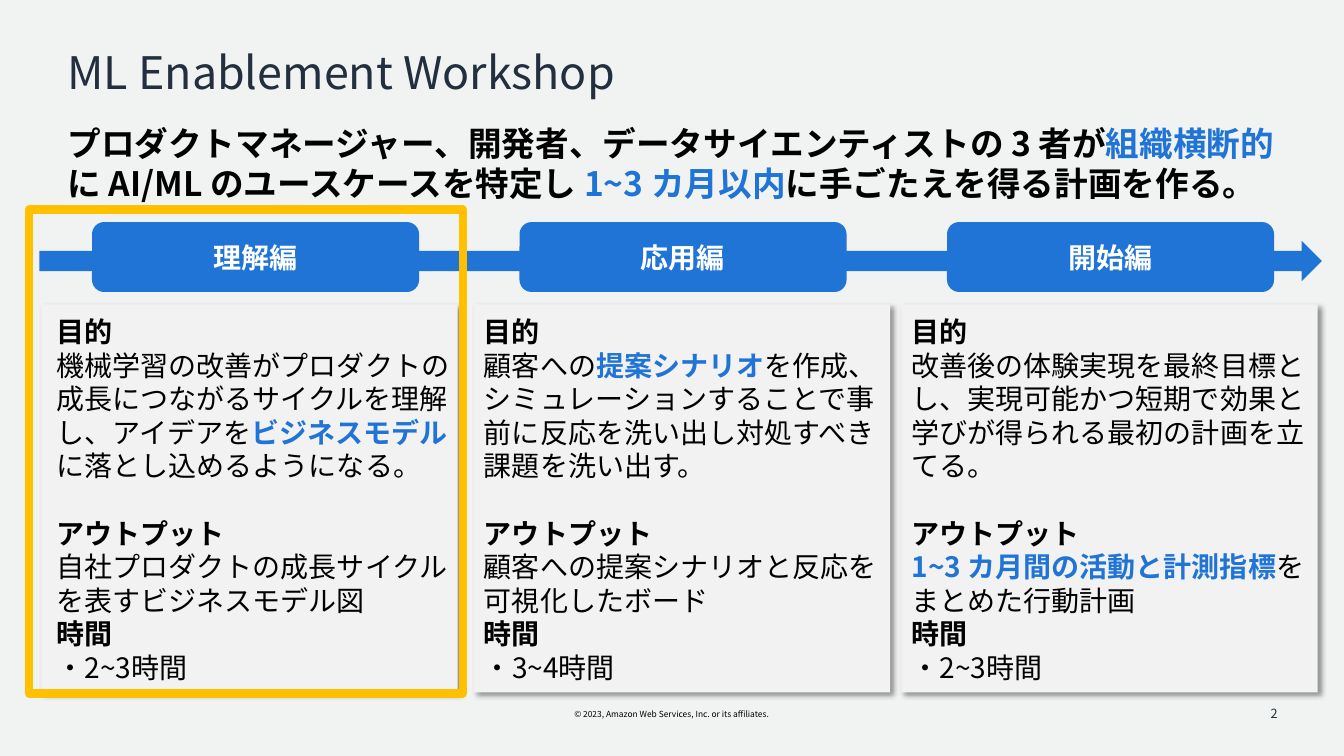
from lxml import etree
from pptx import Presentation
from pptx.dml.color import RGBColor
from pptx.enum.lang import MSO_LANGUAGE_ID
from pptx.enum.shapes import MSO_SHAPE
from pptx.enum.text import MSO_ANCHOR, PP_ALIGN
from pptx.oxml.ns import qn
from pptx.util import Inches, Pt

RECT, ROUND, ARROW = MSO_SHAPE.RECTANGLE, MSO_SHAPE.ROUNDED_RECTANGLE, MSO_SHAPE.RIGHT_ARROW
CENTER, LEFT, RIGHT = PP_ALIGN.CENTER, PP_ALIGN.LEFT, PP_ALIGN.RIGHT
TOP, MIDDLE = MSO_ANCHOR.TOP, MSO_ANCHOR.MIDDLE
JAPANESE = MSO_LANGUAGE_ID.JAPANESE
FONT = "Noto Sans CJK JP"
BLACK, WHITE, NAVY, BLUE = "000000", "FFFFFF", "232F3E", "2074D5"
PALE, PAPER, GOLD = "F2F2F2", "F1F3F3", "FFC000"
PLAIN = {"size": Pt(20), "bold": False, "color": BLACK}
HEAD = {**PLAIN, "bold": True}
ACCENT = {**HEAD, "color": BLUE}
LEAD = {**HEAD, "size": Pt(24)}
LEAD_ACCENT = {**LEAD, "color": BLUE}
BUTTON = {**HEAD, "color": WHITE}
TITLE = {"size": Pt(32), "bold": False, "color": NAVY}
COPYRIGHT = {**PLAIN, "size": Pt(6)}
NUMBER = {**TITLE, "size": Pt(9)}
COLUMN_STEP = 4.24

COLUMNS = [
    {
        "name": "理解編",
        "card_left": 0.41,
        "goal": [
            ("機械学習の改善がプロダクトの成長につながるサイクルを理解し、アイデアを", PLAIN),
            ("ビジネスモデル", ACCENT),
            ("に落とし込めるようになる。", PLAIN),
        ],
        "output": [("自社プロダクトの成長サイクルを表すビジネスモデル図", PLAIN)],
        "time": "・2~3時間",
    },
    {
        "name": "応用編",
        "card_left": 4.7,
        "goal": [
            ("顧客への", PLAIN),
            ("提案シナリオ", ACCENT),
            ("を作成、シミュレーションすることで事前に反応を洗い出し対処すべき課題を洗い出す。", PLAIN),
        ],
        "output": [("顧客への提案シナリオと反応を可視化したボード", PLAIN)],
        "time": "・3~4時間",
    },
    {
        "name": "開始編",
        "card_left": 8.94,
        "goal": [
            ("改善後の体験実現を最終目標とし、実現可能かつ短期で効果と学びが得られる最初の計画を立てる。", PLAIN),
        ],
        "output": [("1~3 カ月間の活動と計測指標", ACCENT), ("をまとめた行動計画", PLAIN)],
        "time": "・2~3時間",
    },
]


def rgb(value):
    return RGBColor.from_string(value)


def write(frame, paragraphs, align=LEFT, anchor=TOP, side=0, wrap=True):
    settings = {
        "word_wrap": wrap,
        "vertical_anchor": anchor,
        "margin_left": Inches(side),
        "margin_right": Inches(side),
        "margin_top": Inches(0.05),
        "margin_bottom": Inches(0.05),
    }
    for name, value in settings.items():
        setattr(frame, name, value)
    for index, spans in enumerate(paragraphs):
        para = frame.add_paragraph() if index else frame.paragraphs[0]
        para.alignment = align
        for text, style in spans:
            span = para.add_run()
            span.text = text
            for name, value in {**style, "name": FONT, "language_id": JAPANESE}.items():
                if name == "color":
                    span.font.color.rgb = rgb(value)
                else:
                    setattr(span.font, name, value)
            etree.SubElement(span.font._element, qn("a:ea"), typeface=FONT)


def add_text(page, box, paragraphs, **layout):
    frame = page.shapes.add_textbox(*map(Inches, box)).text_frame
    write(frame, paragraphs, **layout)
    return frame


def add_block(page, kind, box, fill=None, line=None, width=1):
    block = page.shapes.add_shape(kind, *map(Inches, box))
    block.shadow.inherit = False
    if fill:
        block.fill.solid()
        block.fill.fore_color.rgb = rgb(fill)
    else:
        block.fill.background()
    if line:
        block.line.color.rgb = rgb(line)
        block.line.width = Pt(width)
    else:
        block.line.fill.background()
    return block


def add_shadow(block):
    effects = block._element.spPr.find(qn("a:effectLst"))
    shadow = etree.SubElement(
        effects, qn("a:outerShdw"), blurRad=str(Pt(4)), dist=str(Pt(3)),
        dir="2700000", algn="tl", rotWithShape="0",
    )
    color = etree.SubElement(shadow, qn("a:srgbClr"), val=BLACK)
    etree.SubElement(color, qn("a:alpha"), val="40000")


def add_heading(page, left, top):
    title = add_text(page, (left, top, 11.98, 0.6), [[("ML Enablement Workshop", TITLE)]])
    title.paragraphs[0].line_spacing = 0.9
    add_text(page, (left, top + 0.72, 12.28, 0.91), [[
        ("プロダクトマネージャー、開発者、データサイエンティストの 3 者が", LEAD),
        ("組織横断的", LEAD_ACCENT),
        ("に AI/ML のユースケースを特定し ", LEAD),
        ("1~3 カ月以内", LEAD_ACCENT),
        ("に手ごたえを得る計画を作る。", LEAD),
    ]])


def add_column(page, left, top, column):
    button = add_block(page, ROUND, (left + 0.36, top, 3.23, 0.68), BLUE, BLUE)
    write(button.text_frame, [[(column["name"], BUTTON)]], CENTER, MIDDLE, 0.05)
    add_shadow(add_block(page, RECT, (column["card_left"], top + 0.81, 4.13, 3.85), PALE))
    frame = add_text(page, (left, top + 0.86, 3.95, 3.8), [
        [("目的", HEAD)],
        column["goal"],
        [("アウトプット", HEAD)],
        column["output"],
        [("時間", HEAD)],
        [(column["time"], PLAIN)],
    ])
    frame.paragraphs[2].space_before = Pt(24)


def add_footer(page, top):
    notice = "© 2023, Amazon Web Services, Inc. or its affiliates."
    add_text(page, (5.49, top + 0.11, 2.34, 0.2), [[(notice, COPYRIGHT)]],
             align=CENTER, side=0.1, wrap=False)
    add_text(page, (9.77, top, 3, 0.4), [[("2", NUMBER)]],
             align=RIGHT, anchor=MIDDLE, side=0.1)


def main():
    deck = Presentation()
    deck.slide_width, deck.slide_height = Inches(13.33), Inches(7.5)
    page = deck.slides.add_slide(deck.slide_layouts[6])
    page.background.fill.solid()
    page.background.fill.fore_color.rgb = rgb(PAPER)
    add_heading(page, 0.67, 0.45)
    add_block(page, ARROW, (0.39, 2.39, 12.72, 0.4), BLUE)
    for index, column in enumerate(COLUMNS):
        add_column(page, 0.56 + index * COLUMN_STEP, 2.21, column)
    add_block(page, RECT, (0.29, 2.08, 4.3, 4.8), line=GOLD, width=6)
    add_footer(page, 6.88)
    deck.save("out.pptx")


if __name__ == "__main__":
    main()
